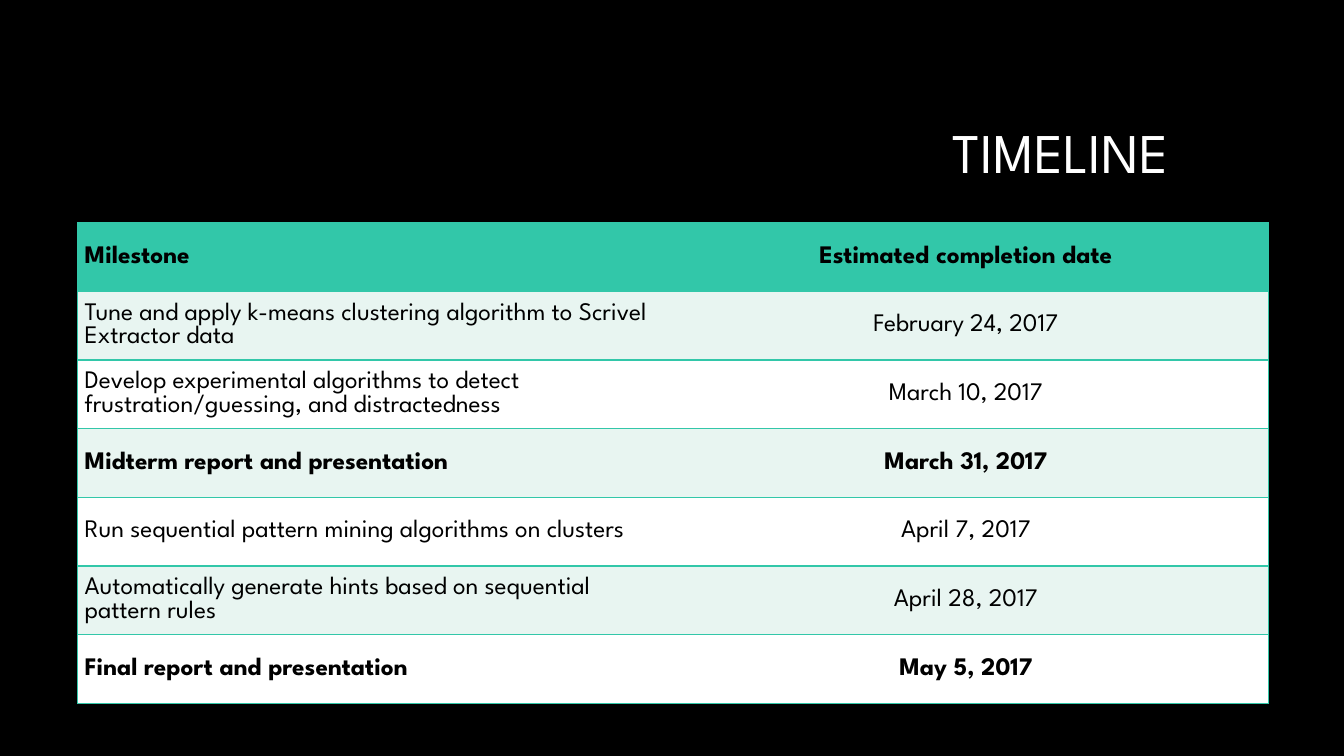
from dataclasses import dataclass

from lxml.etree import SubElement
from pptx import Presentation
from pptx.dml.color import RGBColor
from pptx.enum.text import MSO_ANCHOR as Anchor, MSO_AUTO_SIZE as AutoSize, PP_ALIGN as Align
from pptx.oxml.ns import qn
from pptx.util import Inches, Pt


@dataclass(frozen=True)
class Theme:
    font: str = "League Spartan"
    background: str = "000000"
    title_color: str = "FFFFFF"
    text_color: str = "000000"
    accent: str = "32C7A9"
    bands: tuple = ("FFFFFF", "E8F5F1")
    title_size: int = 40
    table_size: int = 18
    border_width: int = 1


class SlideBuilder:
    def __init__(self, page, theme):
        self.page = page
        self.theme = theme
        fill = page.background.fill
        fill.solid()
        fill.fore_color.rgb = RGBColor.from_string(theme.background)

    def add_run(self, para, text, size, color, bold=False):
        span = para.add_run()
        span.text = text
        span.font.name = self.theme.font
        span.font.size = Pt(size)
        span.font.bold = bold
        span.font.color.rgb = RGBColor.from_string(color)

    def title(self, text, left, top, width, height, right_inset):
        box = self.page.shapes.title
        box.left, box.top, box.width, box.height = map(Inches, (left, top, width, height))
        frame = box.text_frame
        frame.word_wrap = True
        frame.auto_size = AutoSize.NONE
        frame.vertical_anchor = Anchor.MIDDLE
        frame.margin_right = Inches(right_inset)
        para = frame.paragraphs[0]
        para.alignment = Align.RIGHT
        para.line_spacing = 0.9
        self.add_run(para, text, self.theme.title_size, self.theme.title_color)

    def borders(self, cell, visible):
        properties = cell._tc.get_or_add_tcPr()
        for side in "LRTB":
            line = SubElement(properties, qn(f"a:ln{side}"), w=str(Pt(self.theme.border_width)))
            if side in visible:
                fill = SubElement(line, qn("a:solidFill"))
                SubElement(fill, qn("a:srgbClr"), val=self.theme.accent)
            else:
                SubElement(line, qn("a:noFill"))

    def cell(self, cell, text, fill, align, bold, visible):
        self.borders(cell, visible)
        cell.fill.solid()
        cell.fill.fore_color.rgb = RGBColor.from_string(fill)
        cell.vertical_anchor = Anchor.MIDDLE
        cell.margin_left = cell.margin_right = Inches(0.07)
        cell.margin_top = cell.margin_bottom = 0
        para = cell.text_frame.paragraphs[0]
        para.alignment = align
        para.space_before = para.space_after = Pt(6)
        self.add_run(para, text, self.theme.table_size, self.theme.text_color, bold)

    def table(self, rows, left, top, widths, height):
        frame = self.page.shapes.add_table(
            len(rows), len(widths), Inches(left), Inches(top), Inches(sum(widths)), Inches(height)
        )
        table = frame.table
        for column, width in zip(table.columns, widths):
            column.width = Inches(width)
        for row_index, (milestone, date, bold) in enumerate(rows):
            fill = self.theme.bands[row_index % 2] if row_index else self.theme.accent
            self.cell(table.cell(row_index, 0), milestone, fill, Align.LEFT, bold, "LTB")
            self.cell(table.cell(row_index, 1), date, fill, Align.CENTER, bold, "RTB")


MILESTONES = [
    ("Milestone", "Estimated completion date", True),
    ("Tune and apply k-means clustering algorithm to Scrivel Extractor data", "February 24, 2017", False),
    ("Develop experimental algorithms to detect frustration/guessing, and distractedness", "March 10, 2017", False),
    ("Midterm report and presentation", "March 31, 2017", True),
    ("Run sequential pattern mining algorithms on clusters", "April 7, 2017", False),
    ("Automatically generate hints based on sequential pattern rules", "April 28, 2017", False),
    ("Final report and presentation", "May 5, 2017", True),
]

deck = Presentation()
deck.slide_width, deck.slide_height = Inches(13.33), Inches(7.5)
page = deck.slides.add_slide(deck.slide_layouts.get_by_name("Title Only"))
builder = SlideBuilder(page, Theme())
builder.title("TIMELINE", 3.17, 0.84, 9.42, 1.41, right_inset=1)
builder.table(MILESTONES, 0.77, 2.21, widths=(5.81, 6), height=4.77)
deck.save("out.pptx")
